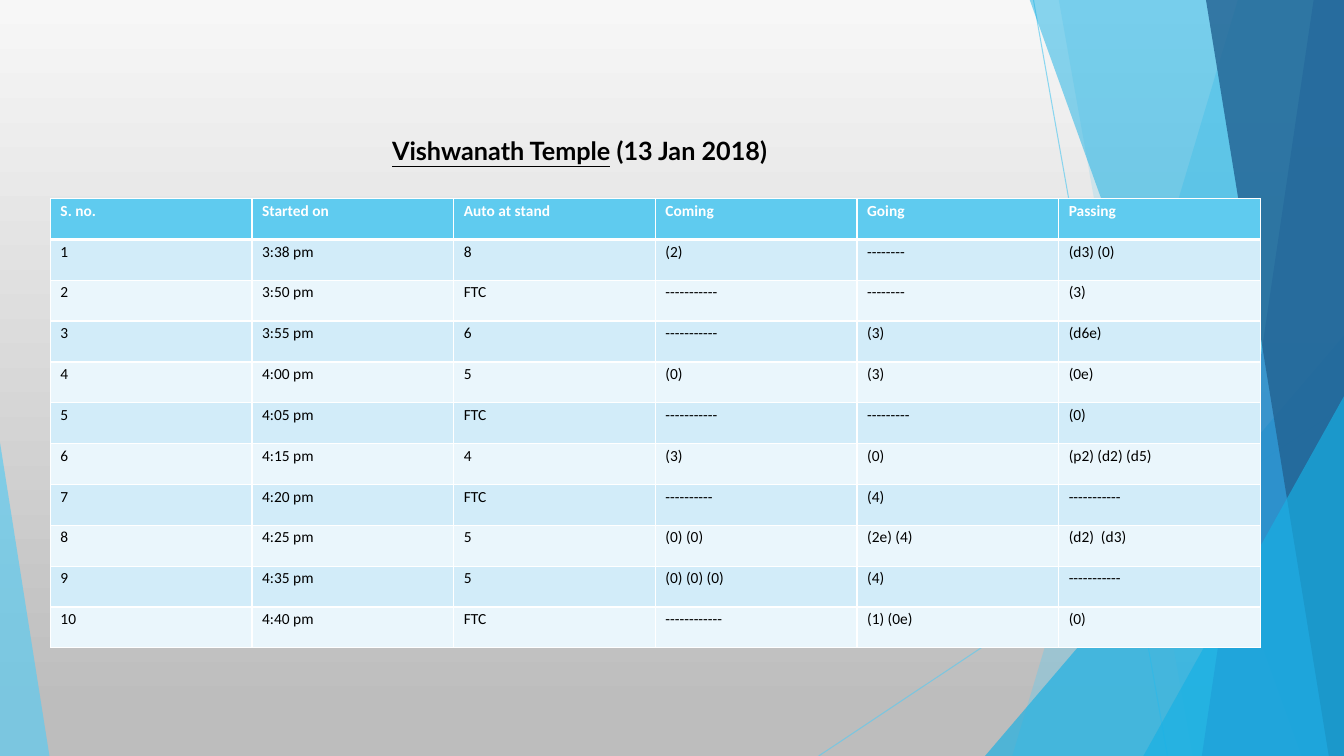
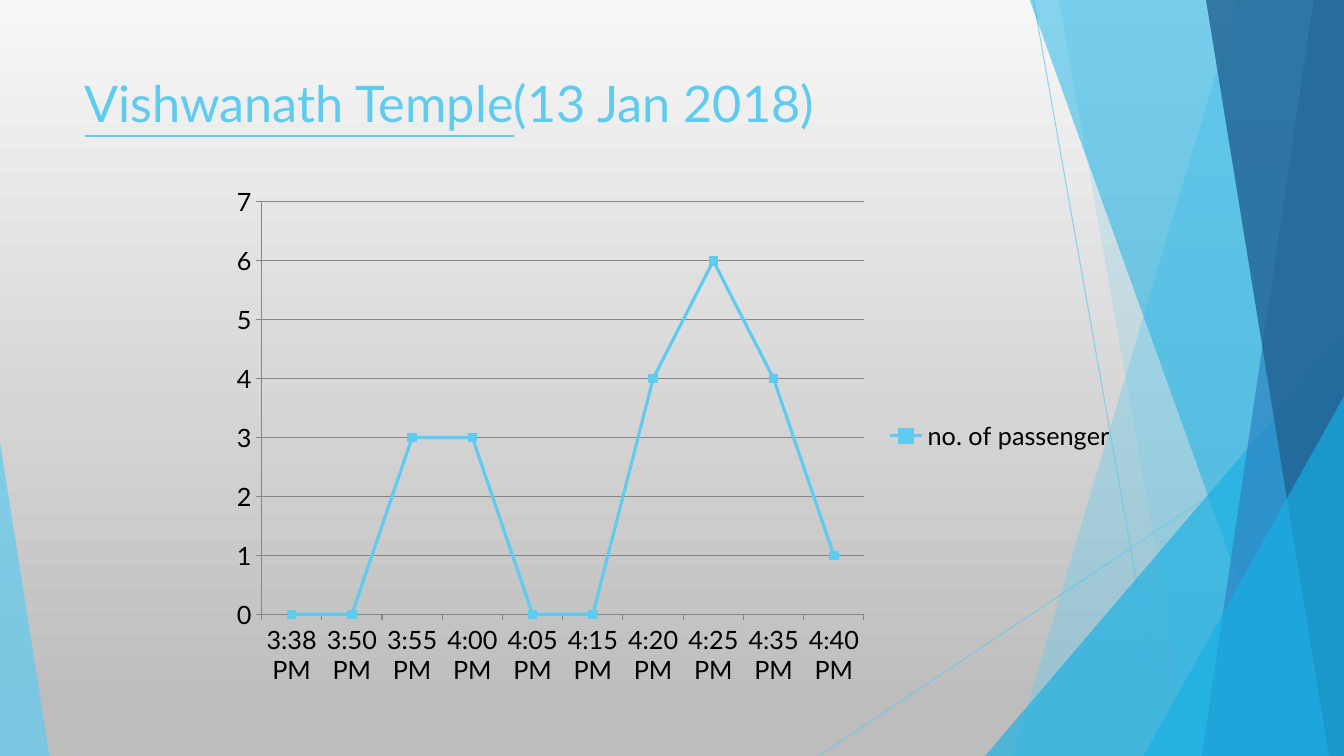
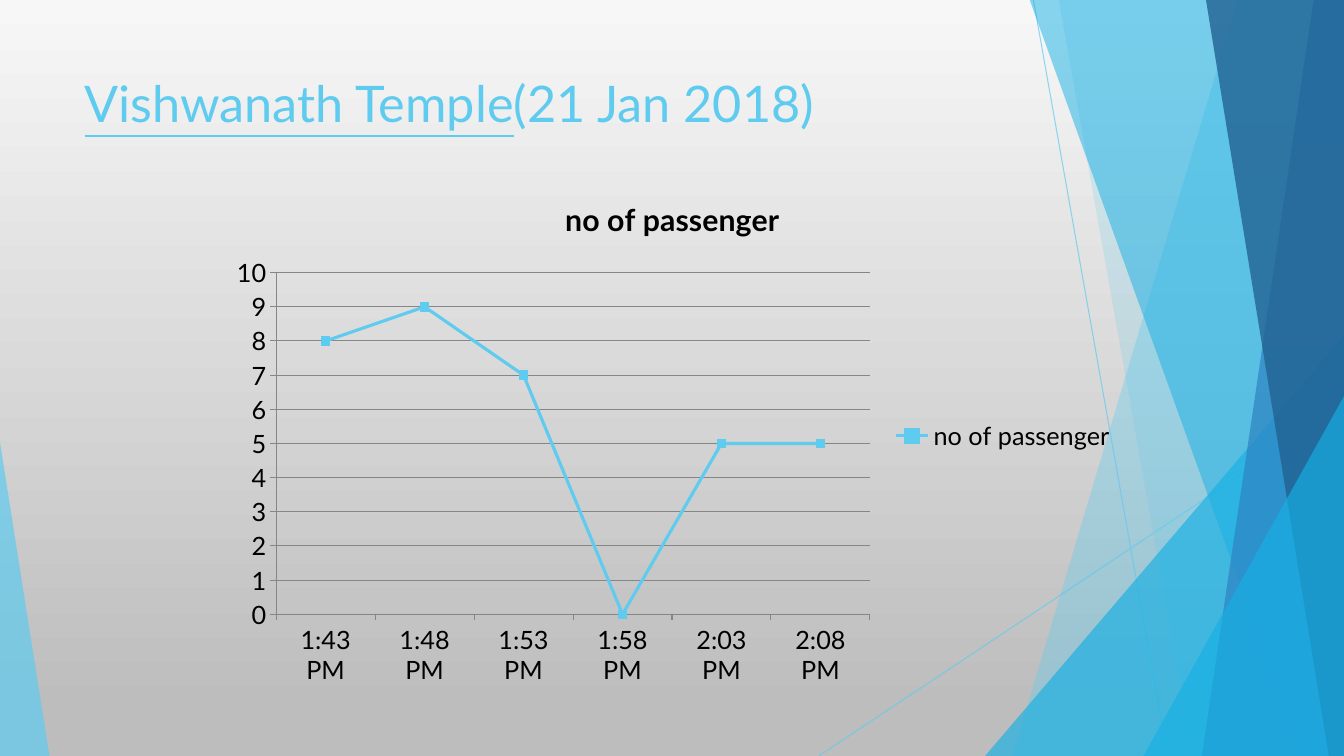
from dataclasses import dataclass
from typing import Any, Optional

from lxml import etree
from pptx import Presentation
from pptx import util as u
from pptx.chart.data import CategoryChartData
from pptx.dml.color import RGBColor
from pptx.enum import chart as charts
from pptx.enum import shapes, text
from pptx.oxml import ns

# Shared look
SKY = RGBColor(0x5F, 0xCB, 0xEF)
CYAN = RGBColor(0x17, 0xB0, 0xE4)
BLUE = RGBColor(0x2E, 0x83, 0xC3)
NAVY = RGBColor(0x22, 0x62, 0x92)
BAND_DARK = RGBColor(0xD2, 0xEC, 0xF9)
BAND_LIGHT = RGBColor(0xEA, 0xF6, 0xFC)
PAGE_TOP = RGBColor(0xF7, 0xF7, 0xF7)
PAGE_BOTTOM = RGBColor(0xBD, 0xBD, 0xBD)
GRID = RGBColor(0x86, 0x86, 0x86)
WHITE = RGBColor(0xFF, 0xFF, 0xFF)
BLACK = RGBColor(0x00, 0x00, 0x00)

WIDTH, HEIGHT, TOP = 13.33, 7.5, -0.01
PLACE = "Vishwanath Temple"

TITLE_FONT = {"name": "Lato", "size": u.Pt(36), "color": SKY}
CAPTION_FONT = {"name": "Lato", "size": u.Pt(18), "color": BLACK, "bold": True}
CHART_FONT = {"name": "Lato", "size": u.Pt(18), "color": BLACK}
CHART_TITLE_FONT = {"name": "Lato", "size": u.Pt(21.6), "color": BLACK, "bold": True}
HEAD_FONT = {"name": "Calibri", "size": u.Pt(11), "color": WHITE, "bold": True}
BODY_FONT = {"name": "Calibri", "size": u.Pt(11), "color": BLACK, "bold": False}


@dataclass(frozen=True)
class Ray:
    start: tuple[float, float]
    end: tuple[float, float]


@dataclass(frozen=True)
class Band:
    """Full-height band running to the right edge of the page."""
    top_x: float
    bottom_x: float
    color: RGBColor
    opacity: int


@dataclass(frozen=True)
class Corner:
    """Triangle standing on the bottom edge of the page."""
    left: float
    top: float
    width: float
    apex: float
    color: RGBColor
    opacity: int


@dataclass(frozen=True)
class LineChart:
    date: str
    kind: Any
    series: str
    times: list[str]
    values: list[int]
    maximum: int
    title: Optional[str] = None


FACETS = [
    Ray((10.25, 0), (11.58, HEIGHT)),
    Ray((WIDTH, 4.03), (8.12, HEIGHT)),
    Band(12.28, 10.04, SKY, 36),
    Band(10.5, 11.83, SKY, 20),
    Corner(9.77, 3.33, 3.56, 1, CYAN, 66),
    Band(10.21, 12.91, CYAN, 50),
    Band(13.03, 11.92, BLUE, 70),
    Band(11.96, 13.18, NAVY, 80),
    Corner(11.34, 3.93, 1.99, 1, CYAN, 66),
    Corner(0, 4.39, 0.49, 0, SKY, 70),
]

# Slide content
COUNTS = [
    ["S. no.", "Started on", "Auto at stand", "Coming", "Going", "Passing"],
    ["1", "3:38 pm", "8", "(2)", "--------", "(d3) (0)"],
    ["2", "3:50 pm", "FTC", "-----------", "--------", "(3)"],
    ["3", "3:55 pm", "6", "-----------", "(3)", "(d6e)"],
    ["4", "4:00 pm", "5", "(0)", "(3)", "(0e)"],
    ["5", "4:05 pm", "FTC", "-----------", "---------", "(0)"],
    ["6", "4:15 pm", "4", "(3)", "(0)", "(p2) (d2) (d5)"],
    ["7", "4:20 pm", "FTC", "----------", "(4)", "-----------"],
    ["8", "4:25 pm", "5", "(0) (0)", "(2e) (4)", "(d2)  (d3)"],
    ["9", "4:35 pm", "5", "(0) (0) (0)", "(4)", "-----------"],
    ["10", "4:40 pm", "FTC", "------------", "(1) (0e)", "(0)"],
]

LINE_CHARTS = [
    LineChart("(13 Jan 2018)", charts.XL_CHART_TYPE.LINE_MARKERS_STACKED, "no. of passenger",
              ["3:38 PM", "3:50 PM", "3:55 PM", "4:00 PM", "4:05 PM",
               "4:15 PM", "4:20 PM", "4:25 PM", "4:35 PM", "4:40 PM"],
              [0, 0, 3, 3, 0, 0, 4, 6, 4, 1], 7),
    LineChart("(21 Jan 2018)", charts.XL_CHART_TYPE.LINE_MARKERS, "no of passenger",
              ["1:43 PM", "1:48 PM", "1:53 PM", "1:58 PM", "2:03 PM", "2:08 PM"],
              [8, 9, 7, 0, 5, 5], 10, "no of passenger"),
]


# Helpers
def set_font(font: Any, values: dict[str, Any]) -> None:
    for name, value in values.items():
        if name == "color":
            font.color.rgb = value
        else:
            setattr(font, name, value)


def set_opacity(shape: Any, percent: int) -> None:
    for color in shape.element.spPr.iter(ns.qn("a:srgbClr")):
        etree.SubElement(color, ns.qn("a:alpha"), val=str(percent * 1000))


def set_border(cell: Any, side: str, points: float) -> None:
    properties = cell._tc.get_or_add_tcPr()
    line = etree.SubElement(properties, ns.qn(f"a:ln{side}"), w=str(u.Pt(points)))
    fill = etree.SubElement(line, ns.qn("a:solidFill"))
    etree.SubElement(fill, ns.qn("a:srgbClr"), val=str(WHITE))


# Background
def draw_ray(page: Any, ray: Ray) -> None:
    ends = [u.Inches(value) for value in (*ray.start, *ray.end)]
    line = page.shapes.add_connector(shapes.MSO_CONNECTOR.STRAIGHT, *ends)
    line.line.color.rgb = SKY
    line.line.width = u.Pt(0.75)
    set_opacity(line, 70)
    etree.SubElement(line.element.spPr, ns.qn("a:effectLst"))


def draw_facet(page: Any, facet: Band | Corner) -> None:
    if isinstance(facet, Band):
        outline = [(facet.top_x, TOP), (WIDTH, TOP), (WIDTH, HEIGHT), (facet.bottom_x, HEIGHT)]
        points = [(u.Inches(x), u.Inches(y)) for x, y in outline]
        builder = page.shapes.build_freeform(*points[0])
        builder.add_line_segments(points[1:], close=True)
        shape = builder.convert_to_shape()
    else:
        shape = page.shapes.add_shape(
            shapes.MSO_SHAPE.ISOSCELES_TRIANGLE, u.Inches(facet.left), u.Inches(facet.top),
            u.Inches(facet.width), u.Inches(HEIGHT - facet.top))
        shape.adjustments[0] = facet.apex
    shape.shadow.inherit = False
    shape.fill.solid()
    shape.fill.fore_color.rgb = facet.color
    shape.line.fill.background()
    set_opacity(shape, facet.opacity)


def add_page(deck: Any) -> Any:
    page = deck.slides.add_slide(deck.slide_layouts[6])
    fill = page.background.fill
    fill.gradient()
    fill.gradient_angle = 270
    for stop, color, position in zip(fill.gradient_stops, (PAGE_TOP, PAGE_BOTTOM), (0, 0.94)):
        stop.color.rgb = color
        stop.position = position
    for facet in FACETS:
        if isinstance(facet, Ray):
            draw_ray(page, facet)
        else:
            draw_facet(page, facet)
    return page


# Text, table and chart
def add_heading(page: Any, date: str, font: dict[str, Any],
                at: tuple[float, float, float, float], wrap: bool) -> None:
    box = page.shapes.add_textbox(*(u.Inches(value) for value in at))
    frame = box.text_frame
    frame.word_wrap = wrap
    frame.auto_size = text.MSO_AUTO_SIZE.NONE if wrap else text.MSO_AUTO_SIZE.SHAPE_TO_FIT_TEXT
    para = frame.paragraphs[0]
    for words, underline in ((PLACE, True), (date, False)):
        span = para.add_run()
        span.text = words
        set_font(span.font, {**font, "underline": underline})


def add_count_table(page: Any) -> None:
    table = page.shapes.add_table(len(COUNTS), len(COUNTS[0]), u.Inches(0.5), u.Inches(1.97),
                                  u.Inches(12), u.Inches(4.46)).table
    margins = {"margin_left": u.Inches(0.1), "margin_right": u.Inches(0.1),
               "margin_top": 0, "margin_bottom": 0}
    for row, entries in enumerate(COUNTS):
        fill = SKY if row == 0 else BAND_DARK if row % 2 else BAND_LIGHT
        borders = {"L": 1, "R": 1, "T": 3 if row == 1 else 1, "B": 3 if row == 0 else 1}
        for column, words in enumerate(entries):
            cell = table.cell(row, column)
            for name, value in margins.items():
                setattr(cell, name, value)
            for side, points in borders.items():
                set_border(cell, side, points)
            cell.fill.solid()
            cell.fill.fore_color.rgb = fill
            para = cell.text_frame.paragraphs[0]
            para.line_spacing = 1.15
            span = para.add_run()
            span.text = words
            set_font(span.font, BODY_FONT if row else HEAD_FONT)


def add_line_chart(page: Any, item: LineChart) -> None:
    data = CategoryChartData()
    data.categories = item.times
    data.add_series(item.series, item.values)
    chart = page.shapes.add_chart(item.kind, u.Inches(2.17), u.Inches(1.75),
                                  u.Inches(9), u.Inches(5.15), data).chart
    set_font(chart.font, CHART_FONT)

    # Title and legend
    chart.has_title = item.title is not None
    if item.title:
        span = chart.chart_title.text_frame.paragraphs[0].add_run()
        span.text = item.title
        set_font(span.font, CHART_TITLE_FONT)
        chart.chart_title.include_in_layout = False
    chart.has_legend = True
    chart.legend.position = charts.XL_LEGEND_POSITION.RIGHT
    chart.legend.include_in_layout = False

    # Axes
    values = chart.value_axis
    scale = {"minimum_scale": 0, "maximum_scale": item.maximum, "major_unit": 1,
             "has_major_gridlines": True}
    for name, value in scale.items():
        setattr(values, name, value)
    for axis in (values, chart.category_axis):
        axis.major_tick_mark = charts.XL_TICK_MARK.OUTSIDE
        axis.minor_tick_mark = charts.XL_TICK_MARK.NONE
    for part in (values, chart.category_axis, values.major_gridlines):
        part.format.line.color.rgb = GRID
        part.format.line.width = u.Pt(0.75)

    # Series
    chart.plots[0].vary_by_categories = False
    series = chart.plots[0].series[0]
    series.smooth = False
    series.format.line.color.rgb = SKY
    series.format.line.width = u.Pt(2.25)
    marker = series.marker
    marker.style = charts.XL_MARKER_STYLE.SQUARE
    marker.size = 6
    marker.format.fill.solid()
    marker.format.fill.fore_color.rgb = SKY
    marker.format.line.color.rgb = SKY


def main() -> None:
    deck = Presentation()
    deck.slide_width = u.Inches(WIDTH)
    deck.slide_height = u.Inches(HEIGHT)

    page = add_page(deck)
    add_count_table(page)
    add_heading(page, " (13 Jan 2018)", CAPTION_FONT, (3.79, 1.29, 4.2, 0.4), wrap=False)

    for item in LINE_CHARTS:
        page = add_page(deck)
        add_heading(page, item.date, TITLE_FONT, (0.74, 0.67, 9.4, 1.44), wrap=True)
        add_line_chart(page, item)

    deck.save("out.pptx")


if __name__ == "__main__":
    main()
